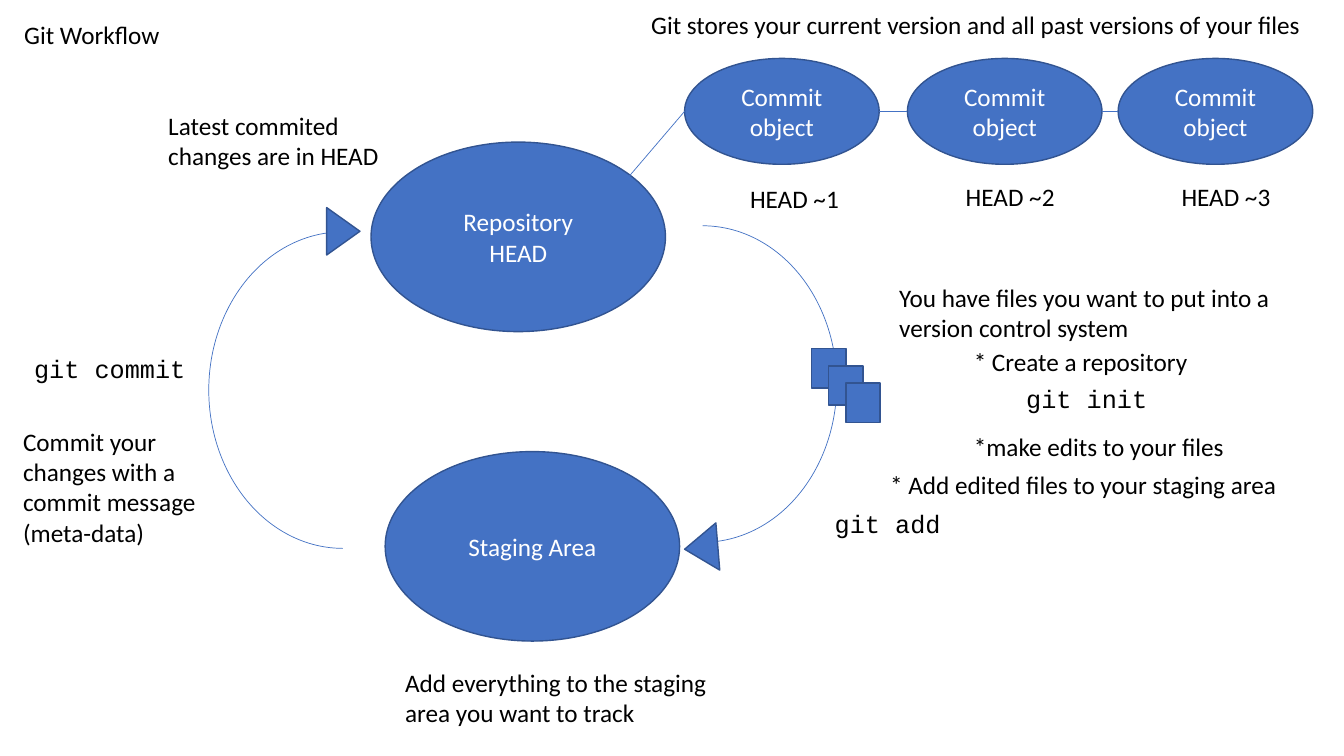
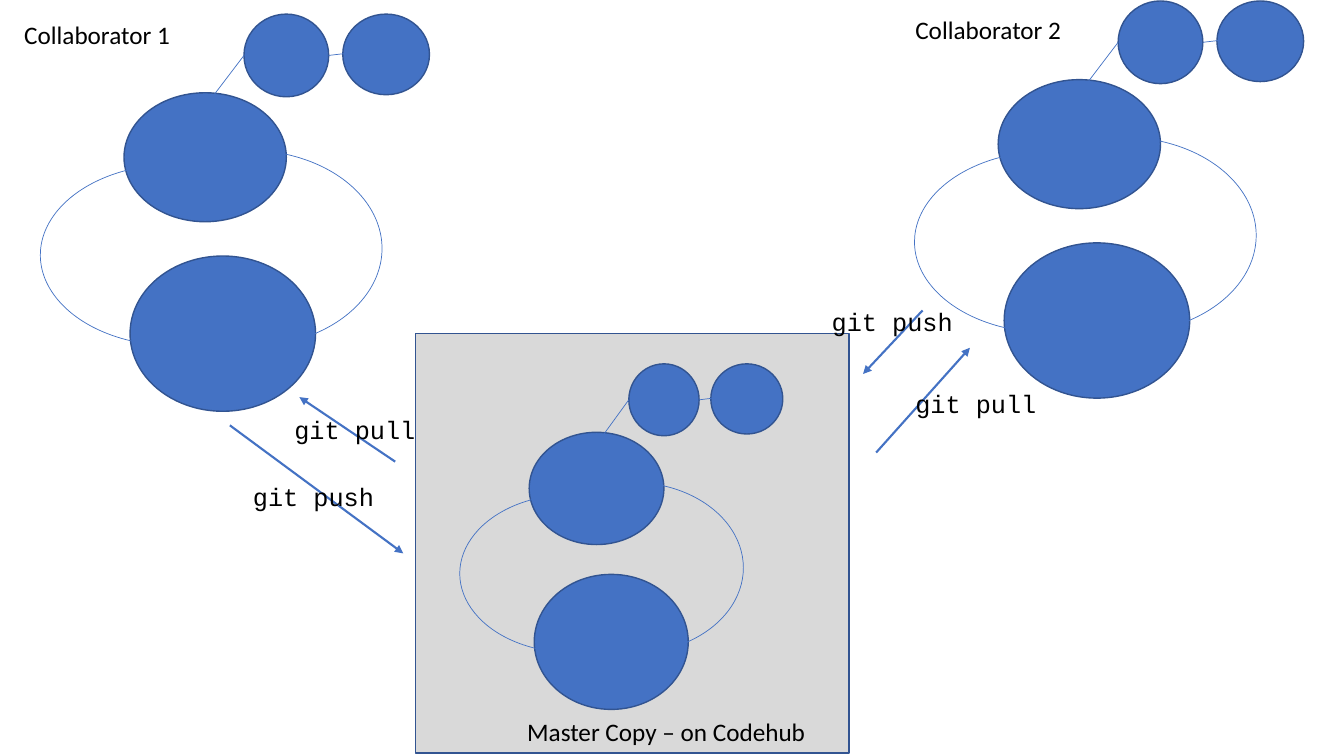
from lxml import etree
from pptx import Presentation
from pptx.dml.color import RGBColor
from pptx.enum.shapes import MSO_CONNECTOR, MSO_SHAPE
from pptx.enum.text import MSO_ANCHOR, MSO_AUTO_SIZE, PP_ALIGN
from pptx.oxml.ns import qn
from pptx.util import Inches, Pt

ELLIPSE, ARC = MSO_SHAPE.OVAL, MSO_SHAPE.ARC
RECT, TRIANGLE = MSO_SHAPE.RECTANGLE, MSO_SHAPE.ISOSCELES_TRIANGLE
STRAIGHT = MSO_CONNECTOR.STRAIGHT
LEFT, CENTER = PP_ALIGN.LEFT, PP_ALIGN.CENTER
TOP, MIDDLE = MSO_ANCHOR.TOP, MSO_ANCHOR.MIDDLE

COLORS = {"blue": "4472C4", "outline": "325491", "panel": "D9D9D9",
          "text": "000000", "white": "FFFFFF"}
BODY, CODE = "Calibri", "Courier New"
TEXT_SIZE = 18
TITLE_BOX = (0.14, 0.14, 4.89, 0.4)
HALF_ARC = (162, 53.51)

# Slide 1: boxes are (left, top, width, height)
WORKFLOW_TITLE = "Git Workflow"
STAGES = [("Repository\nHEAD", (3.68, 1.41, 2.92, 1.88)),
          ("Staging Area", (3.82, 4.48, 2.92, 1.88))]
CYCLE_ARCS = [((5.64, 2.24, 2.66, 3.14), 0), ((2.07, 2.3, 2.66, 3.14), 180)]
CYCLE_HEADS = [((6.72, 5.27, 0.47, 0.33), 265.3), ((3.17, 2.13, 0.47, 0.33), 90)]
FILE_START, FILE_STEP, FILE_COUNT = (8.05, 3.46), 0.17, 3
FILE_SIZE = (0.34, 0.39)
COMMIT_TEXT = "Commit object"
COMMIT_TOP, COMMIT_SIZE = 0.58, (1.93, 1.05)
# commit left, label, label left, label top
COMMITS = [(6.79, "HEAD ~1", 7.34, 1.77),
           (9.0, "HEAD ~2", 9.48, 1.75),
           (11.09, "HEAD ~3", 11.62, 1.75)]
HEAD_LINK = (6.06, 1.96)
WORKFLOW_NOTES = [
    ("Git stores your current version and all past versions of your files",
     (6.36, 0.04, 7.2, 0.4), BODY),
    ("Latest commited changes are in HEAD", (1.57, 1.04, 2.64, 0.71), BODY),
    ("You have files you want to put into a version control system",
     (8.82, 2.75, 4.28, 0.71), BODY),
    ("* Create a repository", (9.56, 3.39, 2.8, 0.4), BODY),
    ("git init", (10.08, 3.75, 2.66, 0.4), CODE),
    ("*make edits to your files", (9.56, 4.23, 3.17, 0.4), BODY),
    ("* Add edited files to your staging area", (8.73, 4.61, 4.61, 0.4), BODY),
    ("git add", (8.18, 4.99, 1.96, 0.4), CODE),
    ("Add everything to the staging area you want to track",
     (3.92, 6.57, 3.45, 0.71), BODY),
    ("git commit", (0.24, 3.46, 1.96, 0.4), CODE),
    ("Commit your changes with a commit message (meta-data)",
     (0.13, 4.18, 2.25, 1.31), BODY),
]

# Slide 2: a small repository cycle, measured from its own top left corner
COLLAB_TITLE = "Collaborator 1"
MASTER_PANEL = (4.12, 3.31, 4.3, 4.16)
MINI_STAGES = [(0.83, 0.78, 1.61, 1.28), (0.89, 2.4, 1.84, 1.54)]
MINI_ARCS = [((0.73, 1.35, 2.66, 1.95), 0, (162, 49.93)),
             ((0, 1.49, 2.66, 1.8), 180, (172.71, 53.51))]
MINI_COMMITS = [(2.02, 0, 0.84, 0.82), (3.0, 0, 0.86, 0.8)]
MINI_LINKS = [((1.29, 1.37), (2.02, 0.41)), ((2.86, 0.41), (3.03, 0.39))]
# origin, horizontal scale, vertical scale
REPOSITORIES = [((9.07, 0.01), 1, 1), ((0.4, 0.14), 1, 1),
                ((4.56, 3.61), 0.83, 0.87)]
TRANSFERS = [((2.28, 4.22), (4, 5.49)), ((3.92, 4.58), (2.97, 3.94)),
             ((9.15, 3.08), (8.56, 3.71)), ((8.69, 4.49), (9.62, 3.45))]
COLLAB_NOTES = [
    ("Collaborator 2", (8.98, 0.09, 4.89, 0.4), BODY),
    ("Master Copy – on Codehub", (5.13, 7.06, 4.89, 0.4), BODY),
    ("git push", (2.41, 4.73, 1.92, 0.4), CODE),
    ("git pull", (2.82, 4.06, 1.92, 0.4), CODE),
    ("git push", (8.15, 2.99, 1.92, 0.4), CODE),
    ("git pull", (8.98, 3.8, 1.92, 0.4), CODE),
]


def rgb(name):
    return RGBColor.from_string(COLORS[name])


def inches(values):
    return [Inches(v) for v in values]


def write(sp, text, font=BODY, color="text", align=LEFT, anchor=TOP):
    tf = sp.text_frame
    tf.text = text
    tf.word_wrap = True
    tf.auto_size = MSO_AUTO_SIZE.NONE
    tf.vertical_anchor = anchor
    for p in tf.paragraphs:
        p.alignment = align
        for r in p.runs:
            r.font.name = font
            r.font.size = Pt(TEXT_SIZE)
            r.font.color.rgb = rgb(color)


def add_shape(shapes, kind, box, fill="blue", rotation=0, text=None):
    sp = shapes.add_shape(kind, *inches(box))
    sp.shadow.inherit = False
    sp.rotation = rotation
    sp.fill.solid()
    sp.fill.fore_color.rgb = rgb(fill)
    sp.line.color.rgb = rgb("outline")
    sp.line.width = Pt(1)
    if text:
        write(sp, text, color="white", align=CENTER, anchor=MIDDLE)
    return sp


def add_arc(shapes, box, rotation, angles=HALF_ARC):
    sp = add_shape(shapes, ARC, box, rotation=rotation)
    sp.fill.background()
    sp.line.color.rgb = rgb("blue")
    sp.line.width = Pt(0.5)
    for i, angle in enumerate(angles):
        sp.adjustments[i] = angle


def add_line(shapes, start, end, width=0.5, arrow=False):
    line = shapes.add_connector(STRAIGHT, *inches(start), *inches(end))
    line.line.color.rgb = rgb("blue")
    line.line.width = Pt(width)
    props = line._element.spPr
    if arrow:
        etree.SubElement(props.find(qn("a:ln")), qn("a:tailEnd"), type="triangle")
    etree.SubElement(props, qn("a:effectLst"))


def add_notes(slide, notes):
    for text, box, font in notes:
        write(slide.shapes.add_textbox(*inches(box)), text, font)


def new_slide(prs, title):
    slide = prs.slides.add_slide(prs.slide_layouts[5])
    sp = slide.shapes.title
    sp.left, sp.top, sp.width, sp.height = inches(TITLE_BOX)
    write(sp, title)
    return slide


def add_repository(slide, origin, sx, sy):
    """Draw one grouped repository cycle, scaled from the shared layout."""
    (x, y), shapes = origin, slide.shapes.add_group_shape().shapes

    def place(box):
        left, top, width, height = box
        return x + left * sx, y + top * sy, width * sx, height * sy

    for box in MINI_STAGES:
        add_shape(shapes, ELLIPSE, place(box))
    for box, rotation, angles in MINI_ARCS:
        add_arc(shapes, place(box), rotation, angles)
    for box in MINI_COMMITS:
        add_shape(shapes, ELLIPSE, place(box))
    for link in MINI_LINKS:
        add_line(shapes, *[(x + px * sx, y + py * sy) for px, py in link])


def build_workflow(prs):
    slide = new_slide(prs, WORKFLOW_TITLE)
    shapes = slide.shapes
    for text, box in STAGES:
        add_shape(shapes, ELLIPSE, box, text=text)
    for box, rotation in CYCLE_ARCS:
        add_arc(shapes, box, rotation)
    for box, rotation in CYCLE_HEADS:
        add_shape(shapes, TRIANGLE, box, rotation=rotation)
    for i in range(FILE_COUNT):
        corner = [v + i * FILE_STEP for v in FILE_START]
        add_shape(shapes, RECT, (*corner, *FILE_SIZE))

    width, height = COMMIT_SIZE
    middle = COMMIT_TOP + height / 2
    link_start = HEAD_LINK
    for left, label, label_left, label_top in COMMITS:
        add_shape(shapes, ELLIPSE, (left, COMMIT_TOP, width, height), text=COMMIT_TEXT)
        add_line(shapes, link_start, (left, middle))
        link_start = (left + width, middle)
        add_notes(slide, [(label, (label_left, label_top, 1.21, 0.4), BODY)])
    add_notes(slide, WORKFLOW_NOTES)


def build_collaboration(prs):
    slide = new_slide(prs, COLLAB_TITLE)
    add_shape(slide.shapes, RECT, MASTER_PANEL, fill="panel")
    for repository in REPOSITORIES:
        add_repository(slide, *repository)
    for start, end in TRANSFERS:
        add_line(slide.shapes, start, end, width=1.5, arrow=True)
    add_notes(slide, COLLAB_NOTES)


def main():
    prs = Presentation()
    prs.slide_width, prs.slide_height = Inches(13.33), Inches(7.5)
    build_workflow(prs)
    build_collaboration(prs)
    prs.save("out.pptx")


if __name__ == "__main__":
    main()
